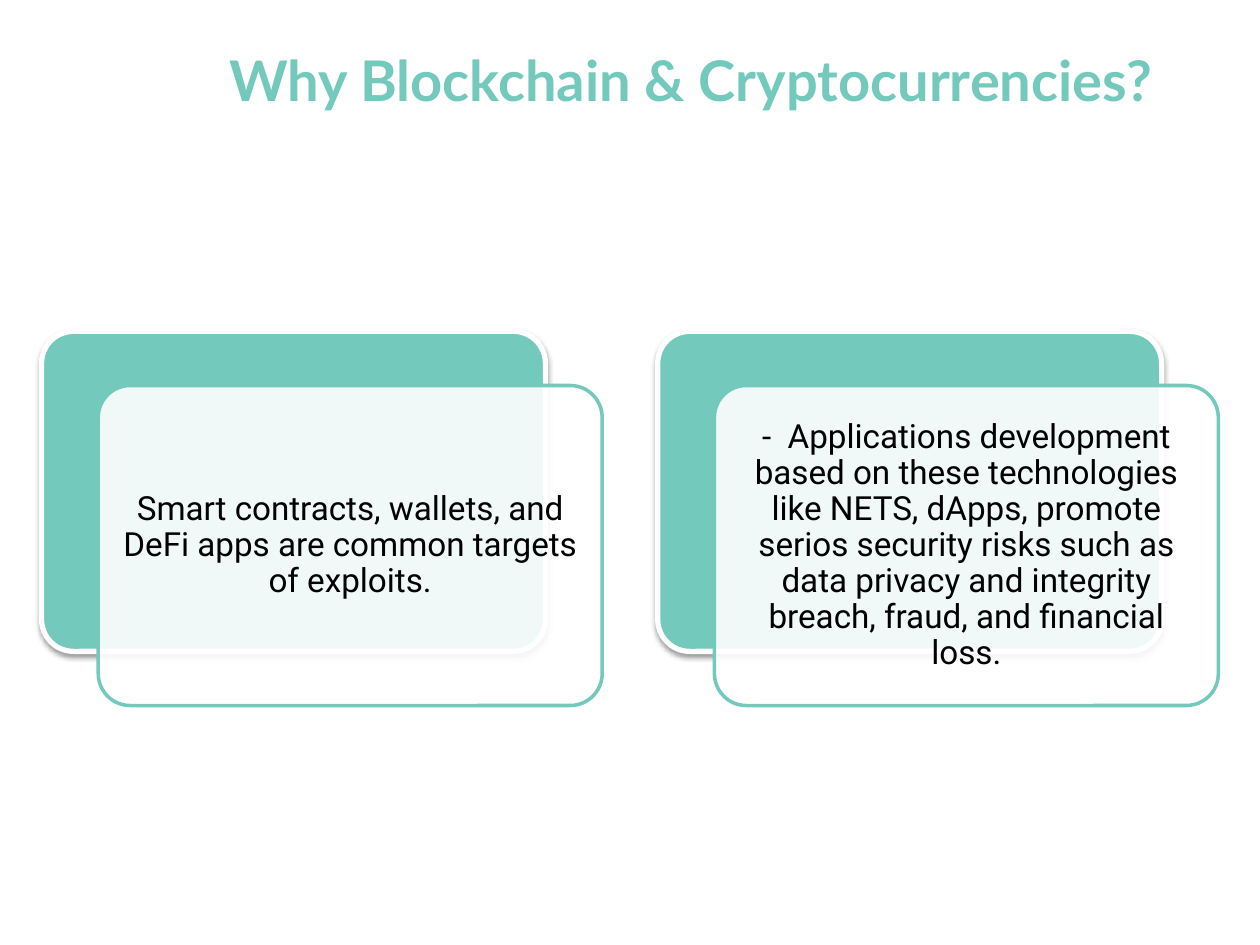
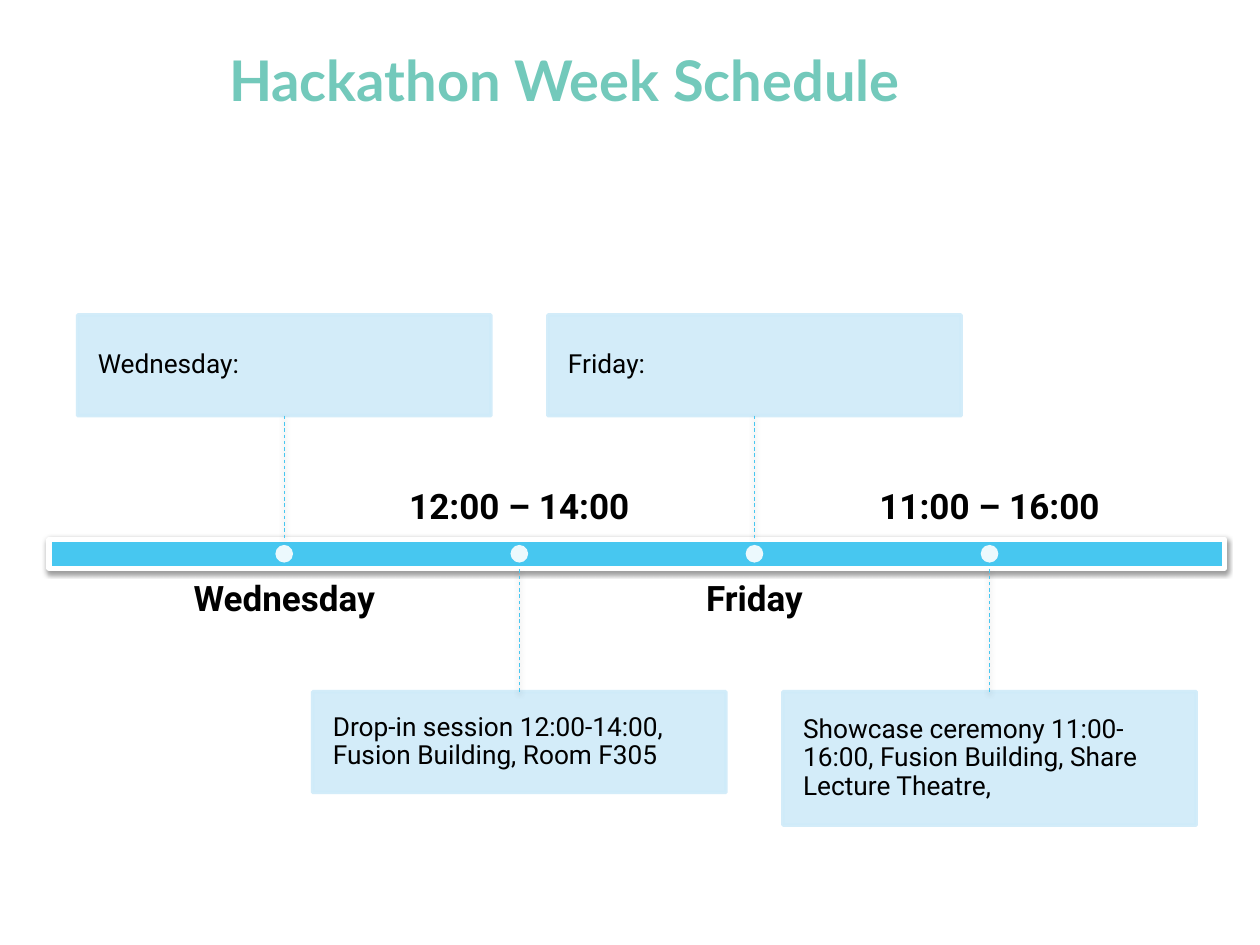
import pptx
import pptx.util
import pptx.dml.color
import pptx.enum.dml
import pptx.enum.shapes
import pptx.enum.text
import pptx.oxml.ns
from lxml import etree

Inches, Pt = pptx.util.Inches, pptx.util.Pt
RGBColor = pptx.dml.color.RGBColor
MSO_SHAPE = pptx.enum.shapes.MSO_SHAPE
PP_ALIGN = pptx.enum.text.PP_ALIGN
MSO_ANCHOR = pptx.enum.text.MSO_ANCHOR
qn = pptx.oxml.ns.qn

TEAL = RGBColor(0x73, 0xC9, 0xBB)
SKY = RGBColor(0x47, 0xC7, 0xF0)
PALE = RGBColor(0xCF, 0xEB, 0xF9)
WHITE = RGBColor(0xFF, 0xFF, 0xFF)
BLACK = RGBColor(0, 0, 0)
TITLE_FONT, BODY_FONT = "Lato", "Roboto"
OPACITY = 90

CARDS = [
    "Smart contracts, wallets, and DeFi apps are common targets of exploits.",
    "-  Applications development based on these technologies like NETS, dApps, "
    "promote serios security risks such as data privacy and integrity breach, "
    "fraud, and financial loss.",
]
EVENTS = [
    ("Wednesday", "Wednesday:", 0.8),
    ("12:00 – 14:00", "Drop-in session 12:00-14:00, Fusion Building, Room F305", 0.8),
    ("Friday", "Friday:", 0.8),
    ("11:00 – 16:00",
     "Showcase ceremony 11:00-16:00, Fusion Building, Share Lecture Theatre,", 1.06),
]


def set_opacity(fill, percent):
    color = fill._xPr.find(qn("a:solidFill"))[0]
    etree.SubElement(color, qn("a:alpha"), val=str(percent * 1000))


def add_shadow(shape):
    props = shape._element.spPr
    effects = props.find(qn("a:effectLst"))
    if effects is None:
        effects = etree.SubElement(props, qn("a:effectLst"))
    shadow = etree.SubElement(effects, qn("a:outerShdw"), blurRad=str(Pt(3.1)),
                              dist=str(Pt(1.6)), dir="5400000", rotWithShape="0")
    color = etree.SubElement(shadow, qn("a:srgbClr"), val=str(BLACK))
    etree.SubElement(color, qn("a:alpha"), val="38000")


def add_block(s, kind, x, y, w, h, fill, line=None, width=0, opacity=100):
    sp = s.shapes.add_shape(kind, Inches(x), Inches(y), Inches(w), Inches(h))
    sp.shadow.inherit = False
    sp.fill.solid()
    sp.fill.fore_color.rgb = fill
    if opacity < 100:
        set_opacity(sp.fill, opacity)
    if line is None:
        sp.line.fill.background()
    else:
        sp.line.color.rgb = line
        sp.line.width = Pt(width)
    return sp


def add_text_box(s, x, y, w, h):
    return s.shapes.add_textbox(Inches(x), Inches(y), Inches(w), Inches(h))


def write(sp, text, size, anchor, align=PP_ALIGN.LEFT, inset=None,
          font=BODY_FONT, color=BLACK, bold=False, spacing=0.9):
    tf = sp.text_frame
    tf.word_wrap = True
    tf.vertical_anchor = anchor
    if inset is not None:
        tf.margin_left = tf.margin_right = Inches(inset)
        tf.margin_top = tf.margin_bottom = Inches(inset)
    p = tf.paragraphs[0]
    p.text = text
    p.alignment = align
    p.line_spacing = spacing
    p.font.size = Pt(size)
    p.font.name = font
    p.font.bold = bold
    p.font.color.rgb = color
    return p


def add_titled_slide(prs, title):
    s = prs.slides.add_slide(prs.slide_layouts[6])
    s.background.fill.solid()
    s.background.fill.fore_color.rgb = WHITE
    box = add_text_box(s, 1.52, 0.02, 8.13, 1.21)
    p = write(box, title, 32, MSO_ANCHOR.MIDDLE, font=TITLE_FONT, color=TEAL,
              bold=True, spacing=1.0)
    p.space_after = Pt(6)
    p._p.get_or_add_pPr().set("marL", str(Inches(0.2)))
    return s


def add_card(s, x, y, w, h, text):
    back = add_block(s, MSO_SHAPE.ROUNDED_RECTANGLE, x, y, w, h, TEAL, WHITE, 3)
    add_shadow(back)
    front = add_block(s, MSO_SHAPE.ROUNDED_RECTANGLE, x + 0.45, y + 0.43, w, h,
                      WHITE, TEAL, 2, OPACITY)
    for sp in (back, front):
        sp.adjustments[0] = 0.1
    write(front, text, 19, MSO_ANCHOR.MIDDLE, PP_ALIGN.CENTER, 0.08)


def add_event(s, center, bar_top, bar_height, above, label, detail, height):
    stem, gap, box_w, label_w, label_h, dot = 0.98, 0.1, 3.28, 2.99, 0.65, 0.14
    bar_bottom = bar_top + bar_height
    if above:
        box_y, edge, side = bar_top - stem - height, bar_top, 2
        label_y, anchor = bar_bottom + gap, MSO_ANCHOR.TOP
    else:
        box_y, edge, side = bar_bottom + stem, bar_bottom, 0
        label_y, anchor = bar_top - gap - label_h, MSO_ANCHOR.BOTTOM

    label_box = add_text_box(s, center - label_w / 2, label_y, label_w, label_h)
    write(label_box, label, 20, anchor, PP_ALIGN.CENTER, 0, bold=True)

    box = add_block(s, MSO_SHAPE.RECTANGLE, center - box_w / 2, box_y, box_w, height,
                    PALE, PALE, 2, OPACITY)
    set_opacity(box.line.fill, OPACITY)
    write(box, detail, 15, MSO_ANCHOR.MIDDLE, inset=0.16)

    line = s.shapes.add_connector(pptx.enum.shapes.MSO_CONNECTOR.STRAIGHT,
                                  Inches(center), Inches(edge),
                                  Inches(center), Inches(edge))
    line.begin_connect(box, side)
    line.line.color.rgb = SKY
    line.line.width = Pt(0.5)
    line.line.dash_style = pptx.enum.dml.MSO_LINE.DASH
    add_shadow(line)

    add_block(s, MSO_SHAPE.OVAL, center - dot / 2, bar_top + (bar_height - dot) / 2,
              dot, dot, WHITE, opacity=OPACITY)


def add_timeline(s, x, y, w, h):
    bar = add_block(s, MSO_SHAPE.RECTANGLE, x, y, w, h, SKY, WHITE, 3)
    add_shadow(bar)
    for i, event in enumerate(EVENTS):
        add_event(s, x + w * (i + 1) / (len(EVENTS) + 1), y, h, i % 2 == 0, *event)


def main():
    prs = pptx.Presentation()
    prs.slide_width, prs.slide_height = Inches(10), Inches(7.5)

    s = add_titled_slide(prs, "Why Blockchain & Cryptocurrencies?")
    for i, text in enumerate(CARDS):
        add_card(s, 0.33 + 4.89 * i, 2.63, 4, 2.54, text)

    s = add_titled_slide(prs, "Hackathon Week Schedule")
    add_timeline(s, 0.39, 4.28, 9.33, 0.23)

    prs.save("out.pptx")


if __name__ == "__main__":
    main()
